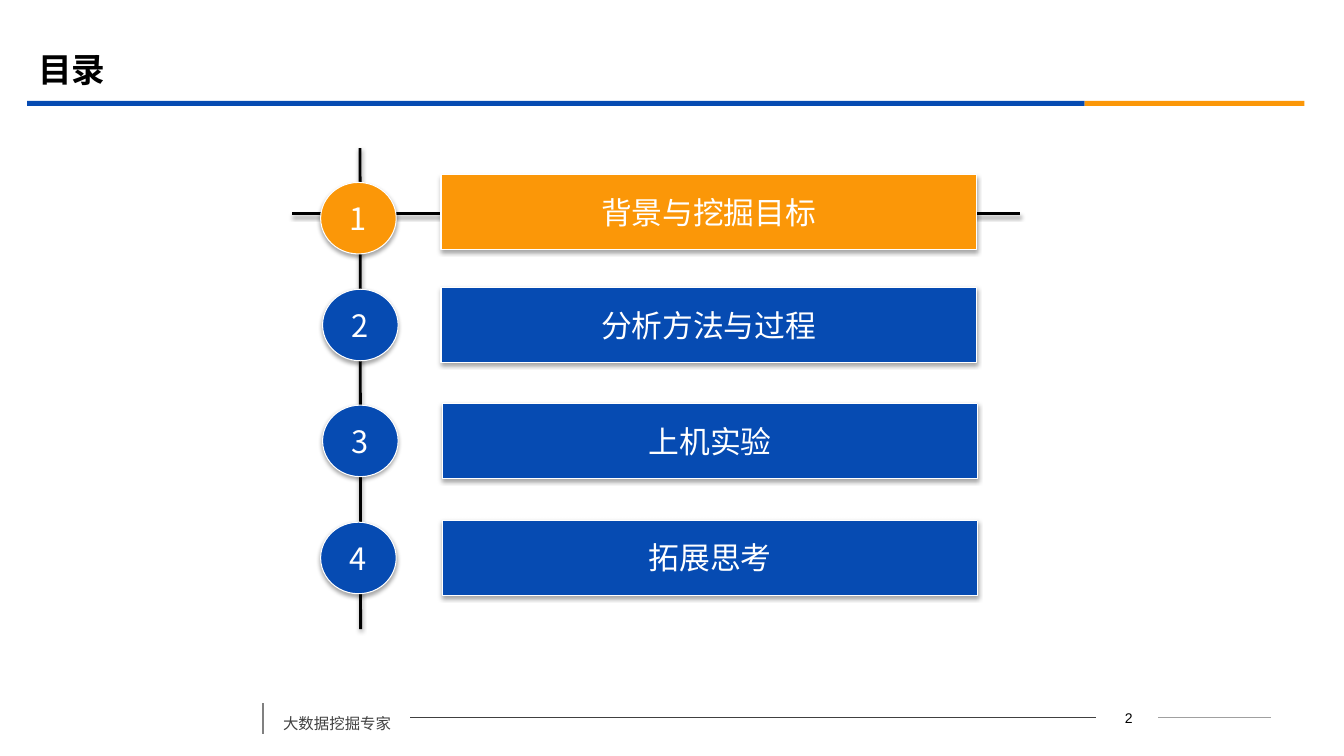
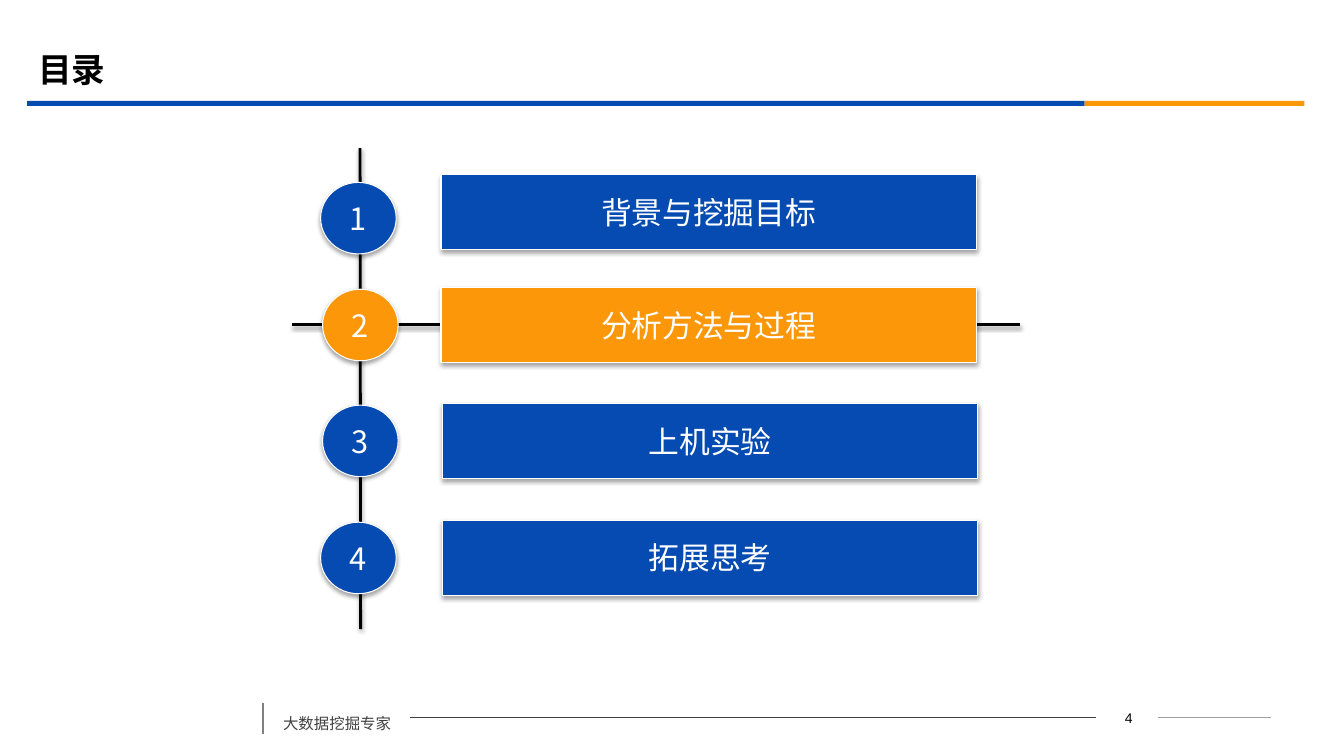
from lxml.etree import SubElement
from pptx import Presentation
from pptx.dml.color import RGBColor
from pptx.enum.shapes import MSO_CONNECTOR, MSO_SHAPE
from pptx.enum.text import MSO_ANCHOR, MSO_AUTO_SIZE, PP_ALIGN
from pptx.oxml.ns import qn
from pptx.util import Pt

COLORS = {
    "blue": "064BB2", "orange": "FB9708", "black": "000000", "white": "FFFFFF",
    "text": "404040", "rule": "404040", "tick": "808080", "pale": "A0A0A0",
}
FONT = "Noto Sans CJK SC"
TITLE = "目录"
FOOTER = "大数据挖掘专家"

# label, bar (left, top), circle (left, top)
AGENDA = [
    ("背景与挖掘目标", (315, 124.6), (229, 130.3)),
    ("分析方法与过程", (315, 205.2), (230.4, 206.6)),
    ("上机实验", (316.1, 288), (230.4, 289.4)),
    ("拓展思考", (316.1, 371.5), (229, 373)),
]
BAR_SIZE = (382.3, 53.7)
CIRCLE_SIZE = (54, 51.1)

# page number, active agenda item, height of the line through that item
SLIDES = [(2, 1, 152.6), (4, 2, 231.8)]

# left, top, width, height, color
TITLE_BANDS = [(19.4, 72, 755.3, 3.6, "blue"), (774.7, 72, 157, 3.6, "orange")]
# start x, start y, end x, end y, color, weight
FOOTER_LINES = [
    (187.9, 502.3, 187.9, 524.2, "tick", 1.25),
    (293, 512.3, 782.6, 512.3, "rule", 0.75),
    (827.3, 512.3, 908, 512.3, "pale", 0.75),
]


def rgb(name):
    return RGBColor.from_string(COLORS[name])


def set_text(shape, text, size, color, align=PP_ALIGN.LEFT, font=FONT, bold=False):
    paragraph = shape.text_frame.paragraphs[0]
    paragraph.text = text
    paragraph.alignment = align
    run_font = paragraph.runs[0].font
    run_font.size, run_font.bold, run_font.name = Pt(size), bold, font
    run_font.color.rgb = rgb(color)
    SubElement(run_font._element, qn("a:ea"), typeface=font)


def set_shadow(shape, distance, opacity):
    """Give the shape a soft shadow straight below it, opacity in percent."""
    effects = shape._element.spPr.find(qn("a:effectLst"))
    shadow = SubElement(effects, qn("a:outerShdw"), blurRad=str(Pt(3.1)),
                        dist=str(Pt(distance)), dir="5400000", rotWithShape="0")
    color = SubElement(shadow, qn("a:srgbClr"), val=COLORS["black"])
    SubElement(color, qn("a:alpha"), val=str(opacity * 1000))


def add_line(slide, start_x, start_y, end_x, end_y, color, weight):
    line = slide.shapes.add_connector(
        MSO_CONNECTOR.STRAIGHT, Pt(start_x), Pt(start_y), Pt(end_x), Pt(end_y))
    line.line.color.rgb = rgb(color)
    line.line.width = Pt(weight)
    SubElement(line._element.spPr, qn("a:effectLst"))
    return line


def add_filled(slide, preset, left, top, width, height, color):
    shape = slide.shapes.add_shape(preset, Pt(left), Pt(top), Pt(width), Pt(height))
    shape.shadow.inherit = False
    shape.fill.solid()
    shape.fill.fore_color.rgb = rgb(color)
    shape.line.fill.background()
    return shape


def add_agenda_shape(slide, preset, position, size, color, text):
    shape = add_filled(slide, preset, *position, *size, color)
    shape.line.color.rgb = rgb("white")
    shape.line.width = Pt(0.75)
    set_shadow(shape, 1.8, 35)
    shape.text_frame.word_wrap = False
    shape.text_frame.vertical_anchor = MSO_ANCHOR.MIDDLE
    set_text(shape, text, 22, "white", PP_ALIGN.CENTER)


def add_frame(slide, page):
    """Add the title, title bands and footer that all slides share."""
    title = slide.shapes.title
    title.left, title.top, title.width, title.height = Pt(20.2), Pt(28), Pt(864), Pt(42)
    title.text_frame.auto_size = MSO_AUTO_SIZE.NONE
    title.text_frame.vertical_anchor = MSO_ANCHOR.MIDDLE
    set_text(title, TITLE, 24, "black", bold=True)

    for *box, color in TITLE_BANDS:
        add_filled(slide, MSO_SHAPE.RECTANGLE, *box, color)
    for line in FOOTER_LINES:
        add_line(slide, *line)

    footer = slide.shapes.add_textbox(Pt(195.1), Pt(499.7), Pt(98), Pt(27.4))
    footer.text_frame.word_wrap = True
    footer.text_frame.auto_size = MSO_AUTO_SIZE.SHAPE_TO_FIT_TEXT
    set_text(footer, FOOTER, 11, "text")
    paragraph = footer.text_frame.paragraphs[0]
    paragraph.line_spacing = 1.5
    paragraph.space_before = Pt(6)

    number = slide.shapes.add_textbox(Pt(784), Pt(503.3), Pt(44.6), Pt(18))
    number.text_frame.word_wrap = True
    set_text(number, str(page), 10, "black", PP_ALIGN.CENTER, font="Arial")


def add_agenda(slide, active, active_y):
    for ends in ((257.2, 105.8, 257.6, 449.3), (208.8, active_y, 728.6, active_y)):
        set_shadow(add_line(slide, *ends, "black", 2), 1.6, 38)
    for number, (label, bar, circle) in enumerate(AGENDA, start=1):
        color = "orange" if number == active else "blue"
        add_agenda_shape(slide, MSO_SHAPE.ACTION_BUTTON_CUSTOM, bar, BAR_SIZE, color, label)
        add_agenda_shape(slide, MSO_SHAPE.OVAL, circle, CIRCLE_SIZE, color, str(number))


def main():
    presentation = Presentation()
    presentation.slide_width, presentation.slide_height = Pt(960), Pt(540)
    title_only = presentation.slide_layouts[5]
    for page, active, active_y in SLIDES:
        slide = presentation.slides.add_slide(title_only)
        add_frame(slide, page)
        add_agenda(slide, active, active_y)
    presentation.save("out.pptx")


if __name__ == "__main__":
    main()
